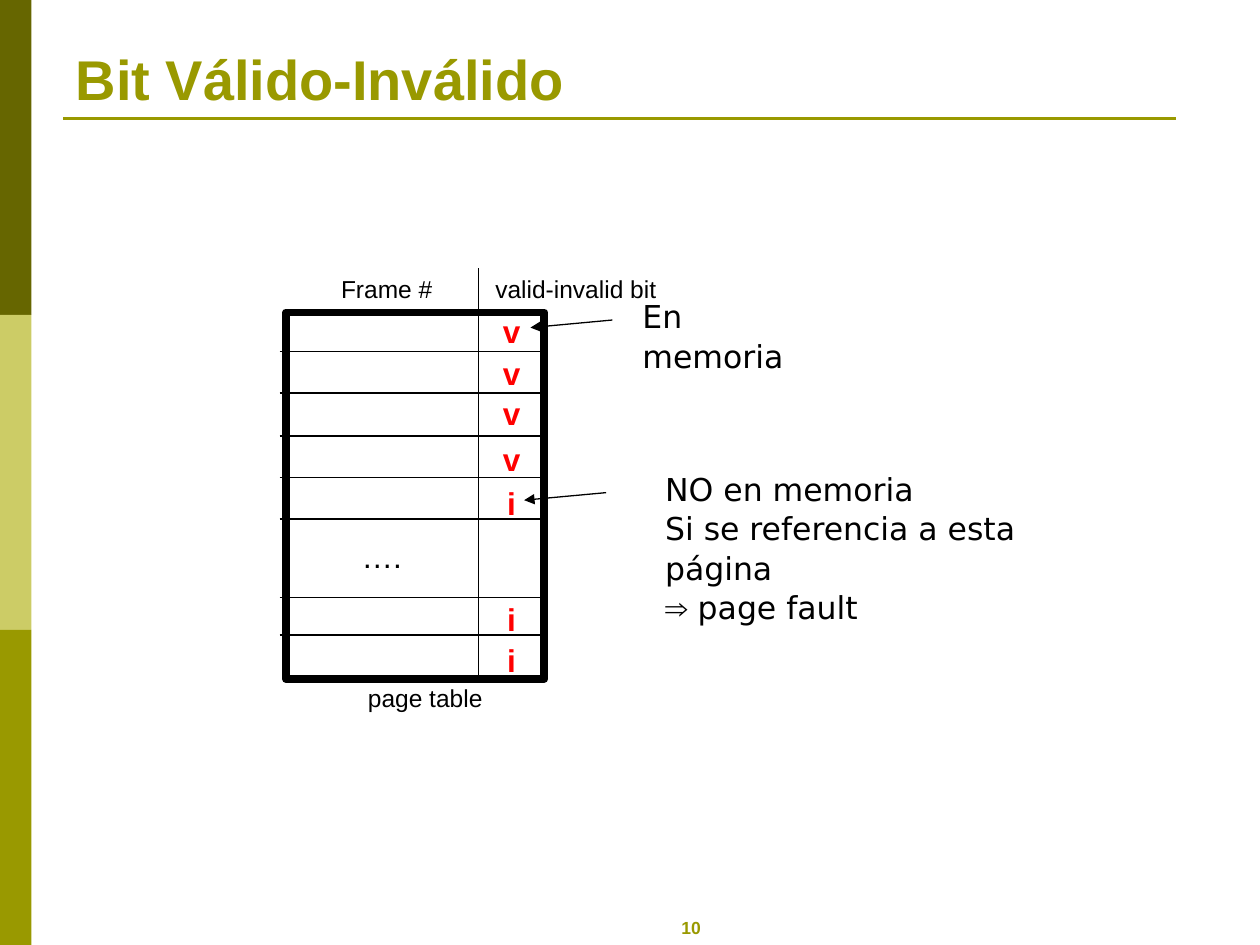
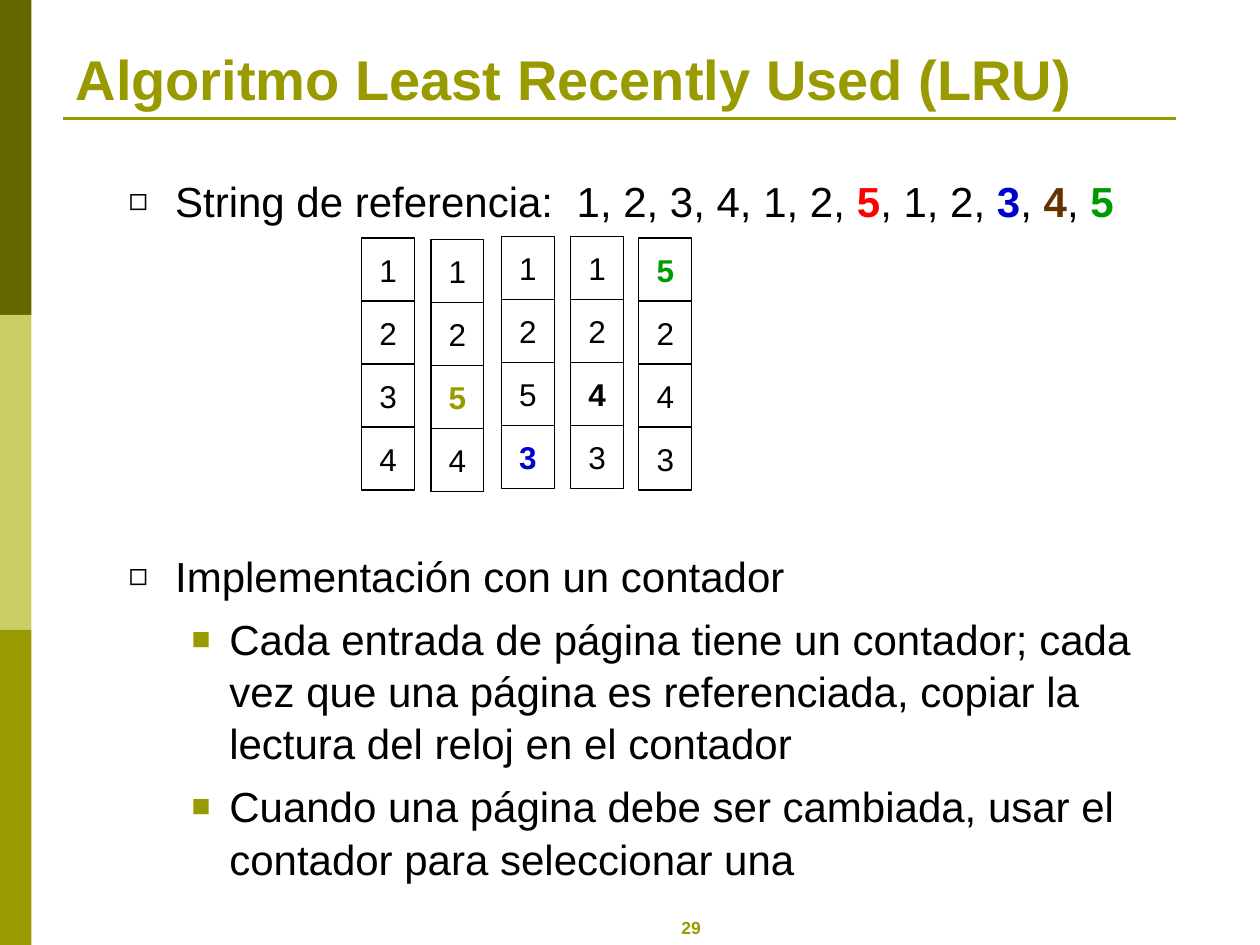
from dataclasses import dataclass
from lxml import etree
from pptx import Presentation
from pptx import util as u
from pptx.dml.color import RGBColor
from pptx.enum import shapes as kinds, text as t
from pptx.oxml import ns


@dataclass(frozen=True)
class Theme:
    dark: str = "666600"
    light: str = "CCCC66"
    olive: str = "999900"
    black: str = "000000"
    white: str = "FFFFFF"
    red: str = "FF0000"
    blue: str = "0000CC"
    brown: str = "663300"
    green: str = "009900"
    font: str = "Arial"
    note_font: str = "DejaVu Sans"
    title: int = 32
    body: int = 24
    cell: int = 18
    label: int = 14
    number: int = 10
    line_spacing: float = 1.04


THEME = Theme()

# Content: page table
VALID_TITLE, VALID_NUMBER = "Bit Válido-Inválido", "10"
TABLE_BOX = (2.27, 2.48, 2.05, 2.91)
ROW_LINES = [round(2.79 + row / 3, 2) for row in range(5)] + [4.74, 5.04]
BIT_DIVIDER = (3.8, 2.13, 3.8, 5.38)
BIT_CENTER = 4.06
BITS = [("v", 2.43), ("v", 2.76), ("v", 3.08), ("v", 3.44),
        ("i", 3.79), ("i", 4.71), ("i", 5.04)]
LABELS = [("….", (2.77, 4.21, 0.52, 0.4), THEME.cell),
          ("Frame #", (2.61, 2.12, 0.92, 0.34), THEME.label),
          ("valid-invalid bit", (3.83, 2.12, 1.48, 0.34), THEME.label),
          ("page table", (2.82, 5.37, 1.11, 0.34), THEME.label)]
ARROWS = [(4.86, 2.54, 4.21, 2.6), (4.81, 3.91, 4.16, 3.97)]
NOTES = [((5, 2.3, 1.62, 0.4), [[("En memoria", {})]]),
         ((5.18, 3.67, 3.62, 1), [[("NO en memoria", {})],
                                  [("Si se referencia a esta página", {})],
                                  [("⇒", {"name": THEME.font}), (" page fault", {})]])]

# Content: LRU algorithm
LRU_TITLE, LRU_NUMBER = "Algoritmo Least Recently Used (LRU)", "29"


def strong(color):
    return {"bold": True, "color": color}


# Each item: level, points before, runs
LRU_LIST = [
    (0, 0, [("String de referencia:", {}), (" ", {"gap": 6.7}),
            ("1, 2, 3, 4, 1, 2, ", {}), ("5", strong(THEME.red)), (", 1, 2, ", {}),
            ("3", strong(THEME.blue)), (", ", {}), ("4", strong(THEME.brown)),
            (", ", {}), ("5", strong(THEME.green))]),
    (0, 184, [("Implementación con un contador", {})]),
    (1, 6, [("Cada entrada de página tiene un contador; cada vez que una página es "
             "referenciada, copiar la lectura del reloj en el contador", {})]),
    (1, 6, [("Cuando una página debe ser cambiada, usar el contador para "
             "seleccionar una", {})]),
]
LEVELS = [dict(indent=0.37, hang=0.37, bullet="◻", color=THEME.black),
          dict(indent=0.8, hang=0.3, bullet="■", color=THEME.olive)]
# Each memory state: left, top, pages, and the loaded page (row, colour)
FRAME_STATES = [(2.87, 1.89, "1234", None),
                (3.42, 1.9, "1254", (2, THEME.olive)),
                (3.98, 1.88, "1253", (3, THEME.blue)),
                (4.53, 1.88, "1243", (2, THEME.black)),
                (5.07, 1.89, "5243", (0, THEME.green))]
FRAME_WIDTH, FRAME_HEIGHT = 0.42, 0.5


# Helpers
def rgb(value):
    return RGBColor.from_string(value)


def inches(values):
    return [u.Inches(value) for value in values]


def add_xml(parent, tag, **attributes):
    return etree.SubElement(parent, ns.qn(tag), attributes)


def add_run(paragraph, words, **format_values):
    values = {"name": THEME.font, "bold": False, "color": THEME.black, **format_values}
    run = paragraph.add_run()
    run.text = words
    run.font.color.rgb = rgb(values.pop("color"))
    run.font.size = u.Pt(values.pop("size"))
    gap = values.pop("gap", None)
    if gap:
        run.font._element.set("spc", str(round(gap * 100)))
    for name, value in values.items():
        setattr(run.font, name, value)


def set_frame(shape, **frame_values):
    values = {"auto_size": t.MSO_AUTO_SIZE.NONE, "word_wrap": False,
              "vertical_anchor": t.MSO_ANCHOR.MIDDLE,
              "margin_left": u.Inches(0.1), "margin_right": u.Inches(0.1),
              "margin_top": u.Inches(0.05), "margin_bottom": u.Inches(0.05), **frame_values}
    for name, value in values.items():
        setattr(shape.text_frame, name, value)
    return shape.text_frame


def place(shape, box):
    for name, value in zip(("left", "top", "width", "height"), inches(box)):
        setattr(shape, name, value)


def add_box(shapes, box, fill, line=None, width=0.75):
    shape = shapes.add_shape(kinds.MSO_SHAPE.RECTANGLE, *inches(box))
    shape.shadow.inherit = False
    shape.fill.solid()
    shape.fill.fore_color.rgb = rgb(fill)
    if line:
        shape.line.color.rgb = rgb(line)
        shape.line.width = u.Pt(width)
    else:
        shape.line.fill.background()
    return shape


def add_line(shapes, ends, color=THEME.black, width=0.75, arrow=False):
    line = shapes.add_connector(kinds.MSO_CONNECTOR.STRAIGHT, *inches(ends))
    line.line.color.rgb = rgb(color)
    line.line.width = u.Pt(width)
    if arrow:
        add_xml(line.line._get_or_add_ln(), "a:tailEnd", type="triangle")
    add_xml(line._element.spPr, "a:effectLst")


def write_centered(shape, words, **format_values):
    paragraph = set_frame(shape).paragraphs[0]
    paragraph.alignment = t.PP_ALIGN.CENTER
    add_run(paragraph, words, **format_values)


def add_label(shapes, box, words, **format_values):
    write_centered(shapes.add_textbox(*inches(box)), words, **format_values)


# Shared slide: bands, title, rule, number
def add_slide(presentation, layout, title, number):
    slide = presentation.slides.add_slide(presentation.slide_layouts[layout])
    for row, color in enumerate((THEME.dark, THEME.light, THEME.olive)):
        add_box(slide.shapes, (0, 2.5 * row, 0.25, 2.5), color)
    add_line(slide.shapes, (0.5, 0.94, 9.33, 0.94), THEME.olive, 1.5)
    place(slide.shapes.title, (0.5, 0.3, 9, 0.63))
    frame = set_frame(slide.shapes.title, word_wrap=True, margin_bottom=u.Inches(0.04),
                      vertical_anchor=t.MSO_ANCHOR.BOTTOM)
    frame.paragraphs[0].alignment = t.PP_ALIGN.LEFT
    add_run(frame.paragraphs[0], title, size=THEME.title, **strong(THEME.olive))
    add_label(slide.shapes, (5.05, 7.23, 0.87, 0.27), number,
              size=THEME.number, **strong(THEME.olive))
    return slide


def add_note(shapes, box, paragraphs):
    frame = set_frame(shapes.add_textbox(*inches(box)), word_wrap=True,
                      vertical_anchor=t.MSO_ANCHOR.TOP)
    for index, runs in enumerate(paragraphs):
        paragraph = frame.add_paragraph() if index else frame.paragraphs[0]
        paragraph.line_spacing = THEME.line_spacing
        for words, values in runs:
            add_run(paragraph, words, **{"size": THEME.cell, "name": THEME.note_font, **values})


def add_valid_bit_slide(presentation):
    slide = add_slide(presentation, 5, VALID_TITLE, VALID_NUMBER)
    # Page table
    shapes = slide.shapes.add_group_shape().shapes
    add_box(shapes, TABLE_BOX, THEME.white, THEME.black, 4.5)
    for y in ROW_LINES:
        add_line(shapes, (2.22, y, 4.3, y))
    add_line(shapes, BIT_DIVIDER)
    for bit, top in BITS:
        add_label(shapes, (BIT_CENTER - 0.17, top, 0.34, 0.4), bit,
                  size=THEME.cell, **strong(THEME.red))
    for words, box, size in LABELS:
        add_label(shapes, box, words, size=size)
    # Notes with their arrows
    for ends, (box, paragraphs) in zip(ARROWS, NOTES):
        add_line(slide.shapes, ends, arrow=True)
        add_note(slide.shapes, box, paragraphs)


def add_lru_slide(presentation):
    slide = add_slide(presentation, 1, LRU_TITLE, LRU_NUMBER)
    # List
    body = slide.placeholders[1]
    place(body, (0.92, 1.33, 8.52, 5.19))
    frame = set_frame(body, word_wrap=True, vertical_anchor=t.MSO_ANCHOR.TOP)
    for index, (level, before, runs) in enumerate(LRU_LIST):
        paragraph = frame.add_paragraph() if index else frame.paragraphs[0]
        style = LEVELS[level]
        properties = paragraph._p.get_or_add_pPr()
        properties.set("marL", str(u.Inches(style["indent"])))
        properties.set("indent", str(-u.Inches(style["hang"])))
        add_xml(add_xml(properties, "a:buClr"), "a:srgbClr", val=style["color"])
        add_xml(properties, "a:buSzPct", val="75000")
        add_xml(properties, "a:buFont", typeface=THEME.font)
        add_xml(properties, "a:buChar", char=style["bullet"])
        for name, value in {"level": level, "space_before": u.Pt(before),
                            "line_spacing": THEME.line_spacing}.items():
            setattr(paragraph, name, value)
        for words, values in runs:
            add_run(paragraph, words, size=THEME.body, **values)
    # Memory frames
    for left, top, pages, loaded in FRAME_STATES:
        for row, page in enumerate(pages):
            cell = add_box(slide.shapes, (left, top + row * FRAME_HEIGHT, FRAME_WIDTH,
                                          FRAME_HEIGHT), THEME.white, THEME.black)
            look = strong(loaded[1]) if loaded and loaded[0] == row else {}
            write_centered(cell, page, size=THEME.cell, **look)


def main():
    presentation = Presentation()
    presentation.slide_width, presentation.slide_height = inches((10, 7.5))
    add_valid_bit_slide(presentation)
    add_lru_slide(presentation)
    presentation.save("out.pptx")


if __name__ == "__main__":
    main()
